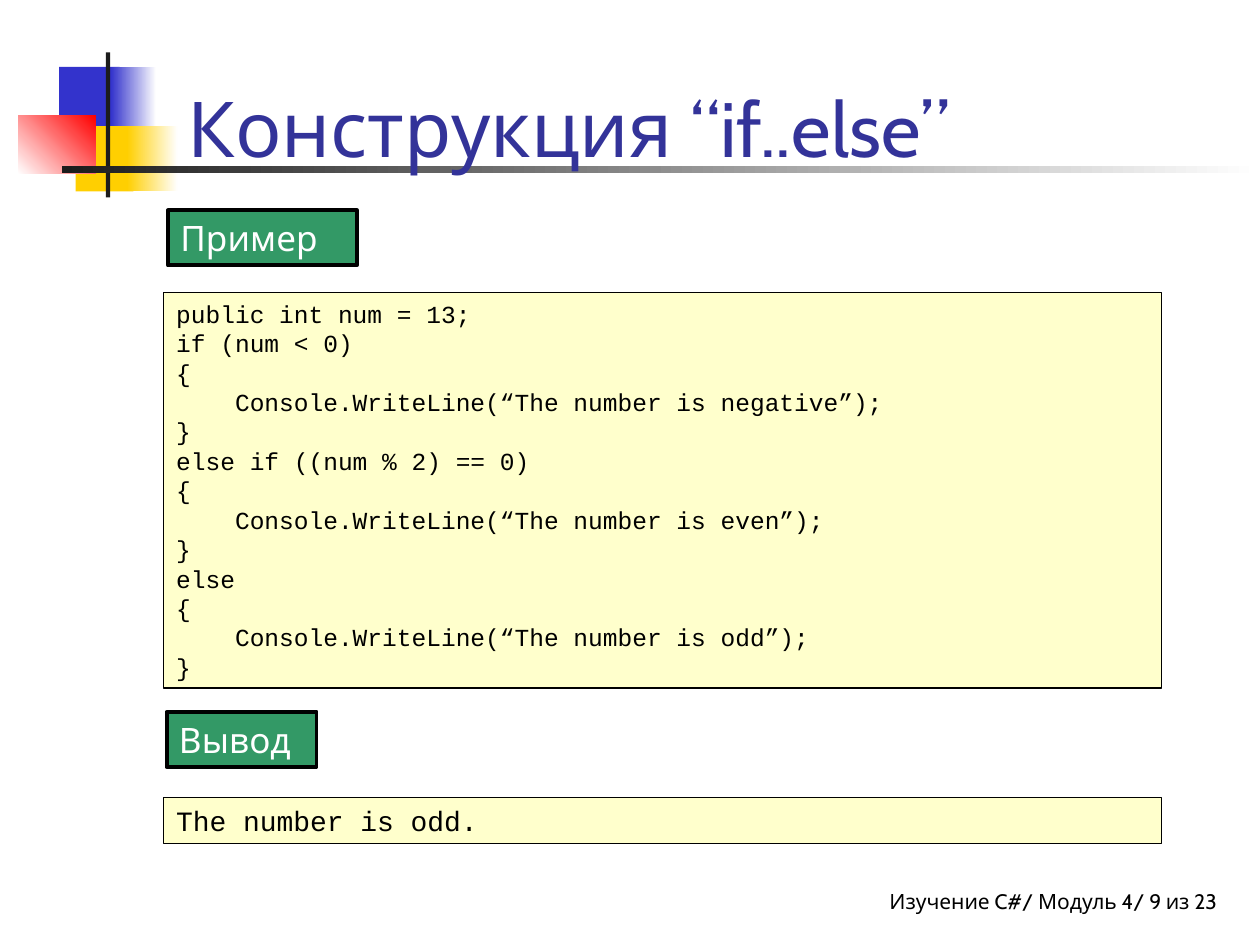
from pptx import Presentation
from pptx.dml.color import RGBColor
from pptx.enum import shapes, text
from pptx.util import Pt

BLACK = RGBColor(0x00, 0x00, 0x00)
WHITE = RGBColor(0xFF, 0xFF, 0xFF)
BLUE = RGBColor(0x33, 0x33, 0xCC)
YELLOW = RGBColor(0xFF, 0xCF, 0x01)
RED = RGBColor(0xFF, 0x00, 0x00)
CHARCOAL = RGBColor(0x1C, 0x1C, 0x1C)
TITLE_BLUE = RGBColor(0x33, 0x33, 0x99)
GREEN = RGBColor(0x33, 0x99, 0x66)
CREAM = RGBColor(0xFF, 0xFF, 0xCC)

BODY_FONT = "Cabin"
CODE_FONT = "Courier New"
PANEL_LEFT, PANEL_WIDTH = 93.6, 570.24

CODE = """public int num = 13;
if (num < 0)
{
    Console.WriteLine(“The number is negative”);
}
else if ((num % 2) == 0)
{
    Console.WriteLine(“The number is even”);
}
else
{
    Console.WriteLine(“The number is odd”);
}"""


def write_text(shape, content, font, size, color, align=text.PP_ALIGN.LEFT):
    frame = shape.text_frame
    frame.text = content
    frame.word_wrap = True
    for paragraph in frame.paragraphs:
        paragraph.alignment = align
        for run in paragraph.runs:
            run.font.name = font
            run.font.size = Pt(size)
            run.font.color.rgb = color
    return frame


def add_block(slide, left, top, width, height, color):
    shape = slide.shapes.add_shape(shapes.MSO_SHAPE.RECTANGLE,
                                   Pt(left), Pt(top), Pt(width), Pt(height))
    shape.shadow.inherit = False
    shape.fill.solid()
    shape.fill.fore_color.rgb = color
    shape.line.fill.background()
    return shape


def add_fade(slide, left, top, width, height, start, end, angle=0):
    shape = add_block(slide, left, top, width, height, start)
    shape.fill.gradient()
    shape.fill.gradient_angle = angle
    for stop, color in zip(shape.fill.gradient_stops, (start, end)):
        stop.color.rgb = color


def add_panel(slide, left, top, width, height, fill, border, content, font, size, color):
    shape = add_block(slide, left, top, width, height, fill)
    shape.line.color.rgb = BLACK
    shape.line.width = Pt(border)
    frame = write_text(shape, content, font, size, color)
    frame.vertical_anchor = text.MSO_ANCHOR.TOP


def add_label(slide, left, top, width, content):
    add_panel(slide, left, top, width, 31.5, GREEN, 2.25, content, BODY_FONT, 20, WHITE)


def add_code(slide, top, height, content, size):
    add_panel(slide, PANEL_LEFT, top, PANEL_WIDTH, height, CREAM, 0.75,
              content, CODE_FONT, size, BLACK)


def add_ornament(slide):
    add_block(slide, 33.8, 38.2, 34.6, 37.4, BLUE)
    add_fade(slide, 63.4, 38.2, 25.9, 37.4, BLUE, WHITE)
    add_block(slide, 43.2, 72, 33.1, 37.4, YELLOW)
    add_fade(slide, 72.7, 72, 28.8, 37.4, YELLOW, WHITE)
    add_fade(slide, 10.5, 66, 44.2, 33.4, WHITE, RED, angle=45)
    add_block(slide, 60.5, 30, 2.4, 82.8, CHARCOAL)
    add_fade(slide, 35.3, 94.8, 684.7, 4.3, CHARCOAL, WHITE)


def set_title(slide, content):
    title = slide.shapes.title
    title.left, title.top, title.width, title.height = Pt(100), Pt(12.2), Pt(613.5), Pt(90)
    frame = write_text(title, content, BODY_FONT, 44, TITLE_BLUE)
    frame.vertical_anchor = text.MSO_ANCHOR.BOTTOM
    frame.auto_size = text.MSO_AUTO_SIZE.NONE


def add_footer(slide, content):
    box = slide.shapes.add_textbox(Pt(329.8), Pt(504), Pt(365.7), Pt(23.8))
    frame = write_text(box, content, BODY_FONT, 12, BLACK, text.PP_ALIGN.RIGHT)
    frame.margin_right = 0


def main():
    presentation = Presentation()
    presentation.slide_width, presentation.slide_height = Pt(720), Pt(540)
    slide = presentation.slides.add_slide(presentation.slide_layouts[5])

    # Decoration, then the title above it
    add_ornament(slide)
    set_title(slide, "Конструкция “if..else”")
    tree = slide.shapes.title.element.getparent()
    tree.append(slide.shapes.title.element)

    # Example
    add_label(slide, 96, 120.2, 108, "Пример")
    add_code(slide, 167.2, 226, CODE, 14)

    # Output
    add_label(slide, 95.2, 406.8, 85.7, "Вывод")
    add_code(slide, 455.8, 26.4, "The number is odd.", 16)

    add_footer(slide, "Изучение C#/ Модуль 4/ 9 из 23")
    presentation.save("out.pptx")


if __name__ == "__main__":
    main()
